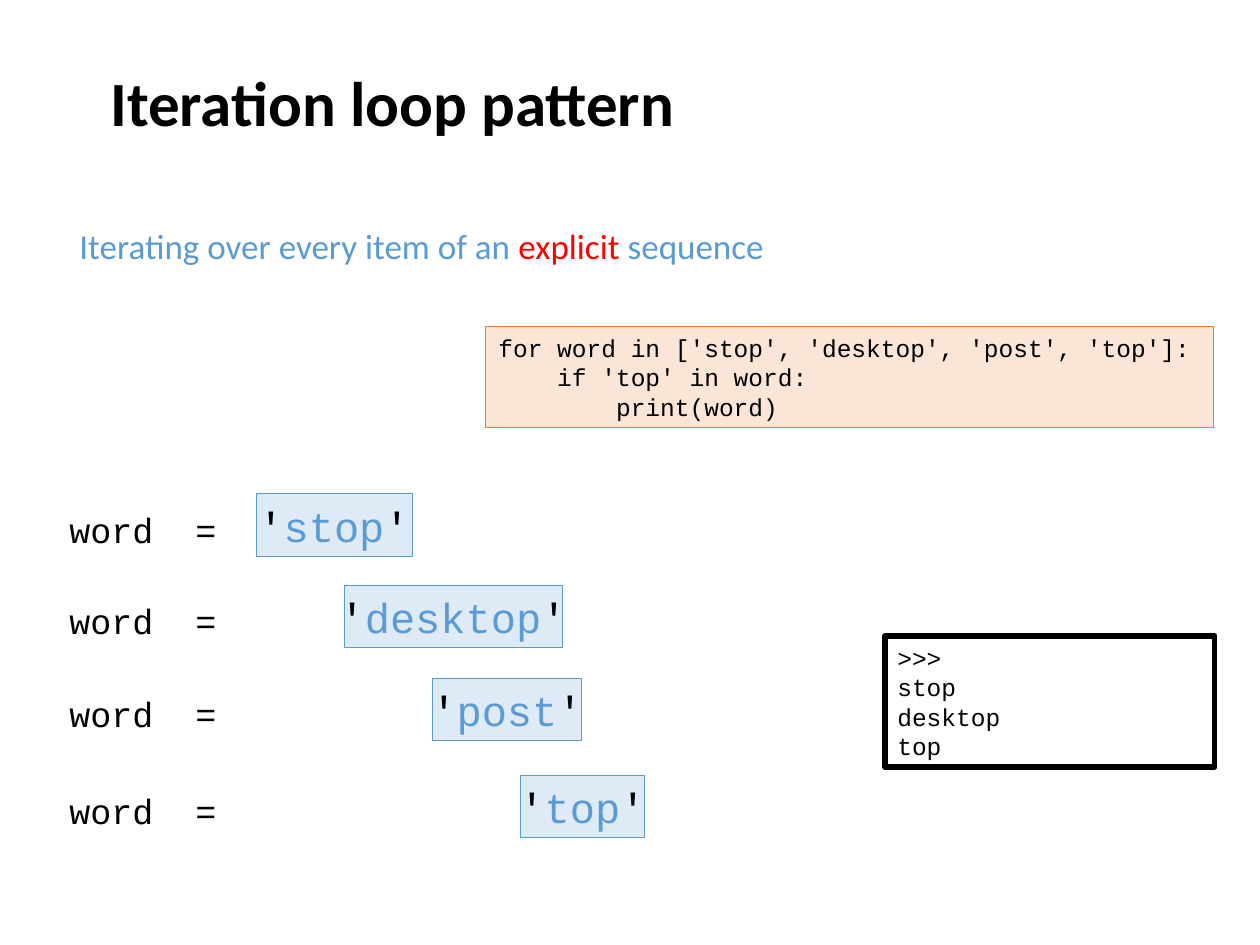
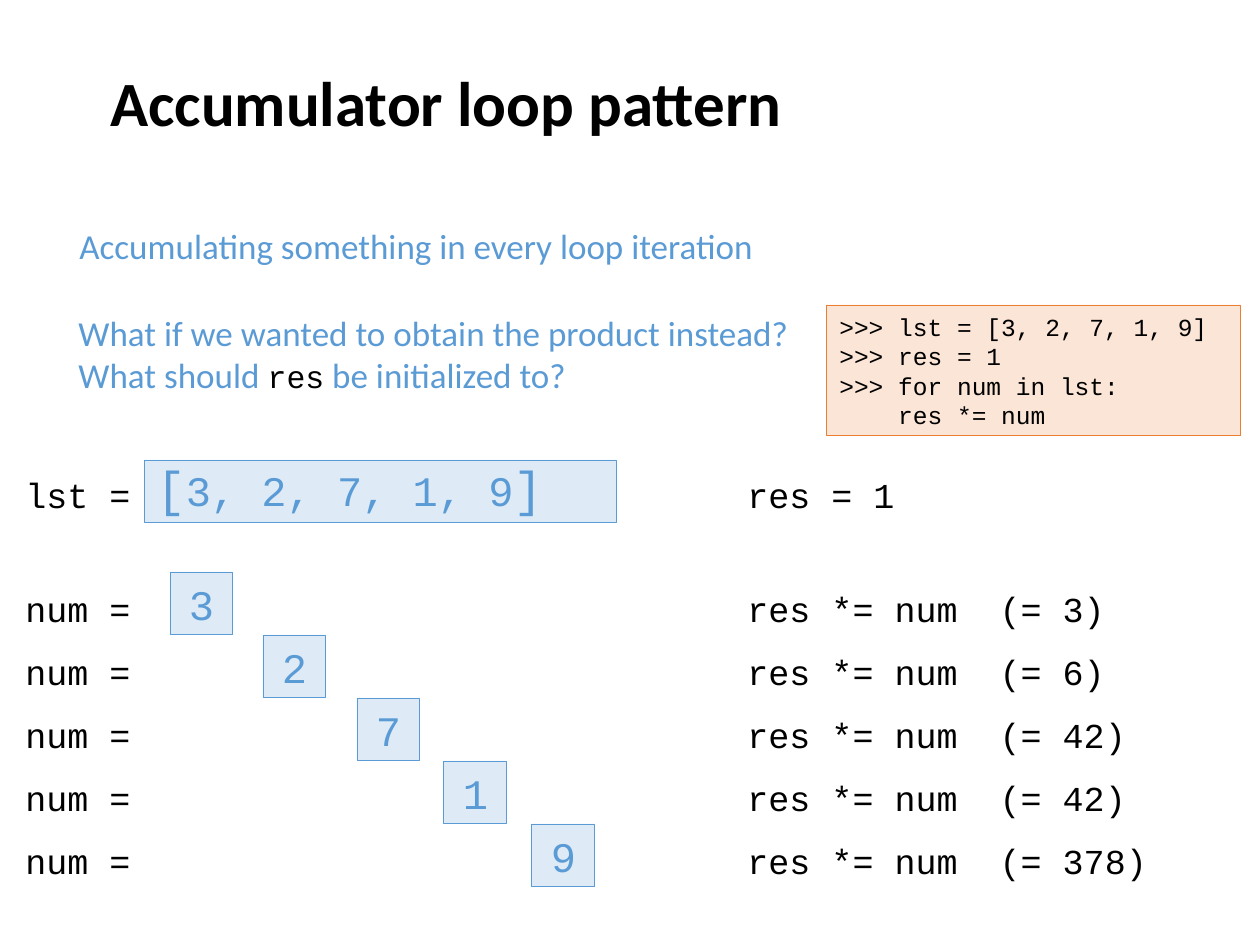
from pptx import Presentation
from pptx.dml.color import RGBColor
from pptx.enum.shapes import MSO_SHAPE
from pptx.enum.text import MSO_ANCHOR, MSO_AUTO_SIZE, PP_ALIGN
from pptx.util import Emu, Pt

EMU_PER_PIXEL = 914400 / 126
BLANK_LAYOUT = 6

BLACK = "000000"
WHITE = "FFFFFF"
RED = "FF0000"
BLUE = "5B9BD5"
PALE_BLUE = "DEEBF7"
ORANGE = "ED7D31"
PALE_ORANGE = "FBE5D6"

SANS = "Calibri"
MONO = "Courier New"
BOX_SIDE = 63
LABEL_HEIGHT = 55


def px(pixels):
    """Turn picture pixels into EMU."""
    return Emu(round(pixels * EMU_PER_PIXEL))


def colour(hex_string):
    """Turn a hex string into a colour."""
    return RGBColor.from_string(hex_string)


def write_text(shape, paragraphs, font=MONO, size=20, color=BLACK, bold=False,
               align=PP_ALIGN.LEFT, anchor=MSO_ANCHOR.MIDDLE, wrap=True, grow=False):
    """Write paragraphs, each a string or a list of (text, run format) pairs."""
    frame = shape.text_frame
    frame.word_wrap = wrap
    frame.auto_size = MSO_AUTO_SIZE.SHAPE_TO_FIT_TEXT if grow else MSO_AUTO_SIZE.NONE
    frame.vertical_anchor = anchor
    for index, content in enumerate(paragraphs):
        paragraph = frame.add_paragraph() if index else frame.paragraphs[0]
        paragraph.alignment = align
        runs = [(content, {})] if isinstance(content, str) else content
        for text, changes in runs:
            run = paragraph.add_run()
            run.text = text
            run.font.name = changes.get("font", font)
            run.font.size = Pt(changes.get("size", size))
            run.font.color.rgb = colour(changes.get("color", color))
            run.font.bold = bold


def add_text(slide, box, paragraphs, **text_format):
    """Add a text box at box = (left, top, width, height)."""
    shape = slide.shapes.add_textbox(*map(px, box))
    write_text(shape, paragraphs, **text_format)


def add_box(slide, box, paragraphs, fill, line, line_width=0.5, **text_format):
    """Add a filled and outlined rectangle with text."""
    shape = slide.shapes.add_shape(MSO_SHAPE.RECTANGLE, *map(px, box))
    shape.shadow.inherit = False
    shape.fill.solid()
    shape.fill.fore_color.rgb = colour(fill)
    shape.line.color.rgb = colour(line)
    shape.line.width = Pt(line_width)
    write_text(shape, paragraphs, **text_format)


def add_value(slide, box, runs, **text_format):
    """Add a pale blue box that holds a value of the loop."""
    text_format = {"align": PP_ALIGN.CENTER, **text_format}
    add_box(slide, box, [runs], PALE_BLUE, BLUE, size=24, color=BLUE, **text_format)


def add_code(slide, box, lines):
    """Add a pale orange box of program lines."""
    add_box(slide, box, lines, PALE_ORANGE, ORANGE, size=14, grow=True)


def add_label(slide, left, top, width, text, wrap=False):
    """Add one line of code beside a value."""
    add_text(slide, (left, top, width, LABEL_HEIGHT), [text], wrap=wrap, grow=True)


def add_statement(slide, box, runs):
    """Add a blue sentence."""
    add_text(slide, box, [runs], font=SANS, color=BLUE, grow=True)


def add_titled_slide(presentation, title):
    """Add a blank slide with the shared title style."""
    slide = presentation.slides.add_slide(presentation.slide_layouts[BLANK_LAYOUT])
    add_text(slide, (98, 0, 1071, 203), [title], font=SANS, size=36, bold=True)
    return slide


def build_iteration_slide(presentation):
    """Show a loop over words and what it prints."""
    slide = add_titled_slide(presentation, "Iteration loop pattern")
    add_statement(slide, (67, 218, 1125, LABEL_HEIGHT), [
        ("Iterating over every item of an ", {}),
        ("explicit ", {"color": RED}),
        ("sequence", {}),
    ])
    add_code(slide, (486, 326, 728, 102), [
        "for word in ['stop', 'desktop', 'post', 'top']:",
        "    if 'top' in word:",
        "        print(word)",
    ])
    words = [("stop", 494, 156), ("desktop", 585, 218), ("post", 678, 150), ("top", 775, 125)]
    quote = ("'", {"color": BLACK})
    for index, (word, top, width) in enumerate(words):
        add_label(slide, 57, top + 8, 174, "word  =")
        add_value(slide, (256 + 88 * index, top, width, BOX_SIDE),
                  [quote, (word, {}), quote], wrap=False)
    add_box(slide, (885, 636, 330, 131), [">>> ", "stop", "desktop", "top"],
            WHITE, BLACK, line_width=3, size=14, grow=True)


def build_accumulator_slide(presentation):
    """Show a product built up over a list of numbers."""
    slide = add_titled_slide(presentation, "Accumulator loop pattern")
    add_statement(slide, (67, 218, 708, LABEL_HEIGHT),
                  [("Accumulating something in every loop iteration", {})])
    add_statement(slide, (66, 305, 760, 97), [
        ("What if we wanted to obtain the product instead? What should ", {}),
        ("res", {"font": MONO, "size": 18, "color": BLACK}),
        (" be initialized to?", {}),
    ])
    add_code(slide, (827, 305, 414, 131), [
        ">>> lst = [3, 2, 7, 1, 9]",
        ">>> res = 1",
        ">>> for num in lst:",
        "    res *= num",
    ])

    numbers = [3, 2, 7, 1, 9]
    add_label(slide, 13, 467, 131, "lst =")
    add_value(slide, (144, 460, 472, BOX_SIDE), [
        ("[", {"size": 28}),
        (", ".join(map(str, numbers)), {}),
        ("]", {"size": 28}),
    ], align=PP_ALIGN.JUSTIFY, anchor=MSO_ANCHOR.BOTTOM)
    add_label(slide, 735, 467, 280, "res = 1", wrap=True)

    product = 1
    lefts = [170, 263, 357, 444, 532]
    for index, (number, left) in enumerate(zip(numbers, lefts)):
        top = 572 + BOX_SIDE * index
        product *= number
        add_label(slide, 13, top + 9, 131, "num =")
        add_value(slide, (left, top, BOX_SIDE, BOX_SIDE), str(number))
        add_label(slide, 735, top + 9, 525, f"res *= num  (= {product})", wrap=True)


def main():
    """Build and save the presentation."""
    presentation = Presentation()
    presentation.slide_width = px(1260)
    presentation.slide_height = px(945)
    build_iteration_slide(presentation)
    build_accumulator_slide(presentation)
    presentation.save("out.pptx")


main()
